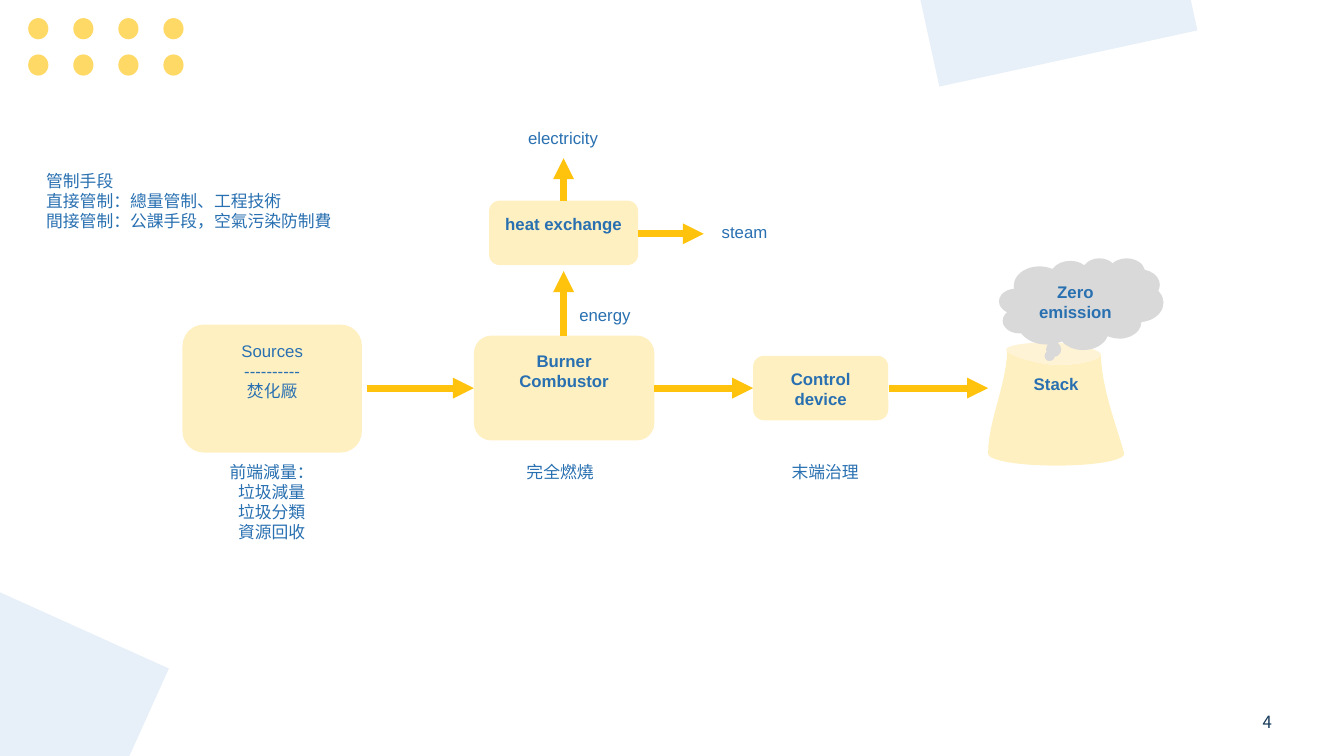
from lxml import etree
from pptx import Presentation
from pptx.dml.color import RGBColor
from pptx.enum.shapes import MSO_CONNECTOR, MSO_SHAPE
from pptx.enum.text import MSO_ANCHOR, PP_ALIGN
from pptx.oxml.ns import qn
from pptx.util import Inches, Pt

ELLIPSE, RECTANGLE = MSO_SHAPE.OVAL, MSO_SHAPE.RECTANGLE
ROUNDED, CLOUD = MSO_SHAPE.ROUNDED_RECTANGLE, MSO_SHAPE.CLOUD_CALLOUT
STRAIGHT = MSO_CONNECTOR.STRAIGHT
TOP, MIDDLE = MSO_ANCHOR.TOP, MSO_ANCHOR.MIDDLE
LEFT, CENTER = PP_ALIGN.LEFT, PP_ALIGN.CENTER
COLORS = {
    "dot": "FFD966", "panel": "E7F0F8", "box": "FFF0C2", "lid": "FFF3D5",
    "arrow": "FFC30D", "cloud": "D9D9D9", "text": "2970B1", "number": "143858",
}


def paint(shape, color):
    shape.shadow.inherit = False
    shape.fill.solid()
    shape.fill.fore_color.rgb = RGBColor.from_string(COLORS[color])
    shape.line.fill.background()


def write(shape, lines, bold=False, align=CENTER, inset_top=0.1):
    frame = shape.text_frame
    frame.word_wrap = True
    frame.vertical_anchor = TOP
    frame.margin_left = frame.margin_right = frame.margin_bottom = Inches(0.1)
    frame.margin_top = Inches(inset_top)
    for index, line in enumerate(lines):
        paragraph = frame.add_paragraph() if index else frame.paragraphs[0]
        paragraph.text = line
        paragraph.alignment = align
        paragraph.font.size = Pt(12)
        paragraph.font.name = "Arial"
        paragraph.font.bold = bold
        paragraph.font.color.rgb = RGBColor.from_string(COLORS["text"])


presentation = Presentation()
presentation.slide_width = Inches(13.33)
presentation.slide_height = Inches(7.5)
slide = presentation.slides.add_slide(presentation.slide_layouts[6])
shapes = slide.shapes

page_number = shapes.add_textbox(Inches(11.07), Inches(6.96), Inches(3), Inches(0.4))
write(page_number, ["4"], inset_top=0.05)
page_number.text_frame.margin_bottom = Inches(0.05)
page_number.text_frame.vertical_anchor = MIDDLE
number_font = page_number.text_frame.paragraphs[0].font
number_font.name = "Noto Sans CJK SC"
number_font.color.rgb = RGBColor.from_string(COLORS["number"])

for row in range(2):
    for column in range(4):
        dot = shapes.add_shape(ELLIPSE, Inches(0.28 + 0.447 * column),
                               Inches(0.18 + 0.36 * row), Inches(0.2), Inches(0.21))
        paint(dot, "dot")

for left, top, rotation in [(9.11, -1.06, 347.7), (-1.17, 6.02, 24.3)]:
    panel = shapes.add_shape(RECTANGLE, Inches(left), Inches(top), Inches(2.62), Inches(1.66))
    panel.rotation = rotation
    paint(panel, "panel")

boxes = [
    (1.81, 3.22, 1.78, 1.27, ["Sources", "----------", "焚化厰"], False),
    (4.7, 3.33, 1.79, 1.04, ["Burner", "Combustor"], True),
    (4.85, 1.99, 1.48, 0.64, ["heat exchange"], True),
    (7.47, 3.53, 1.34, 0.64, ["Control", "device"], True),
]
for left, top, width, height, lines, bold in boxes:
    box = shapes.add_shape(ROUNDED, Inches(left), Inches(top), Inches(width), Inches(height))
    paint(box, "box")
    write(box, lines, bold)

arrows = [
    (3.64, 3.85, 4.7, 3.85),
    (6.49, 3.85, 7.47, 3.85),
    (8.82, 3.85, 9.8, 3.85),
    (6.33, 2.32, 6.98, 2.32),
    (5.59, 3.33, 5.59, 2.69),
    (5.59, 1.99, 5.59, 1.57),
]
for ends in arrows:
    arrow = shapes.add_connector(STRAIGHT, *[Inches(value) for value in ends])
    arrow.line.color.rgb = RGBColor.from_string(COLORS["arrow"])
    arrow.line.width = Pt(5)
    etree.SubElement(arrow.line._get_or_add_ln(), qn("a:tailEnd"), type="triangle")
    etree.SubElement(arrow._element.spPr, qn("a:effectLst"))

stack_body = [
    (9.99, 3.46),
    (9.99, 3.53, 10.32, 3.62, 10.48, 3.62),
    (10.63, 3.63, 10.92, 3.58, 10.92, 3.52),
    (10.92, 3.85, 11.1, 4.3, 11.15, 4.5),
    (11.16, 4.57, 10.85, 4.62, 10.48, 4.62),
    (10.1, 4.62, 9.8, 4.57, 9.8, 4.5),
    (9.8, 4.17, 9.99, 3.8, 9.99, 3.46),
]
stack_lid = [
    (9.98, 3.47),
    (9.98, 3.41, 10.32, 3.39, 10.48, 3.4),
    (10.63, 3.41, 10.92, 3.46, 10.92, 3.52),
    (10.92, 3.58, 10.63, 3.63, 10.48, 3.62),
    (10.32, 3.62, 9.98, 3.53, 9.98, 3.47),
]
STEPS = 12
for color, (start, *curves) in [("box", stack_body), ("lid", stack_lid)]:
    points = [start]
    for x1, y1, x2, y2, x3, y3 in curves:
        x0, y0 = points[-1]
        for step in range(1, STEPS + 1):
            t = step / STEPS
            u = 1 - t
            points.append((
                u**3 * x0 + 3 * u * u * t * x1 + 3 * u * t * t * x2 + t**3 * x3,
                u**3 * y0 + 3 * u * u * t * y1 + 3 * u * t * t * y2 + t**3 * y3,
            ))
    outline = [(Inches(x), Inches(y)) for x, y in points]
    builder = shapes.build_freeform(*outline[0])
    builder.add_line_segments(outline[1:], close=True)
    stack_part = builder.convert_to_shape()
    paint(stack_part, color)
    if color == "box":
        write(stack_part, ["Stack"], bold=True, inset_top=0.25)

cloud = shapes.add_shape(CLOUD, Inches(9.91), Inches(2.56), Inches(1.63), Inches(0.91))
cloud.adjustments[0] = -0.2
cloud.adjustments[1] = 0.59
paint(cloud, "cloud")
write(cloud, ["Zero emission"], bold=True)

labels = [
    (5.41, 2.92, 1.18, 0.4, ["energy"], CENTER),
    (4.87, 1.17, 1.43, 0.4, ["electricity"], CENTER),
    (6.67, 2.1, 1.43, 0.4, ["steam"], CENTER),
    (1.98, 4.48, 1.43, 1.01, ["前端減量：", "垃圾減量", "垃圾分類", "資源回收"], CENTER),
    (4.84, 4.48, 1.43, 0.4, ["完全燃燒"], CENTER),
    (7.47, 4.48, 1.43, 0.4, ["末端治理"], CENTER),
    (0.36, 1.59, 3.54, 0.81,
     ["管制手段", "直接管制：總量管制、工程技術", "間接管制：公課手段，空氣污染防制費"], LEFT),
]
for left, top, width, height, lines, align in labels:
    label = shapes.add_textbox(Inches(left), Inches(top), Inches(width), Inches(height))
    write(label, lines, align=align)

presentation.save("out.pptx")
